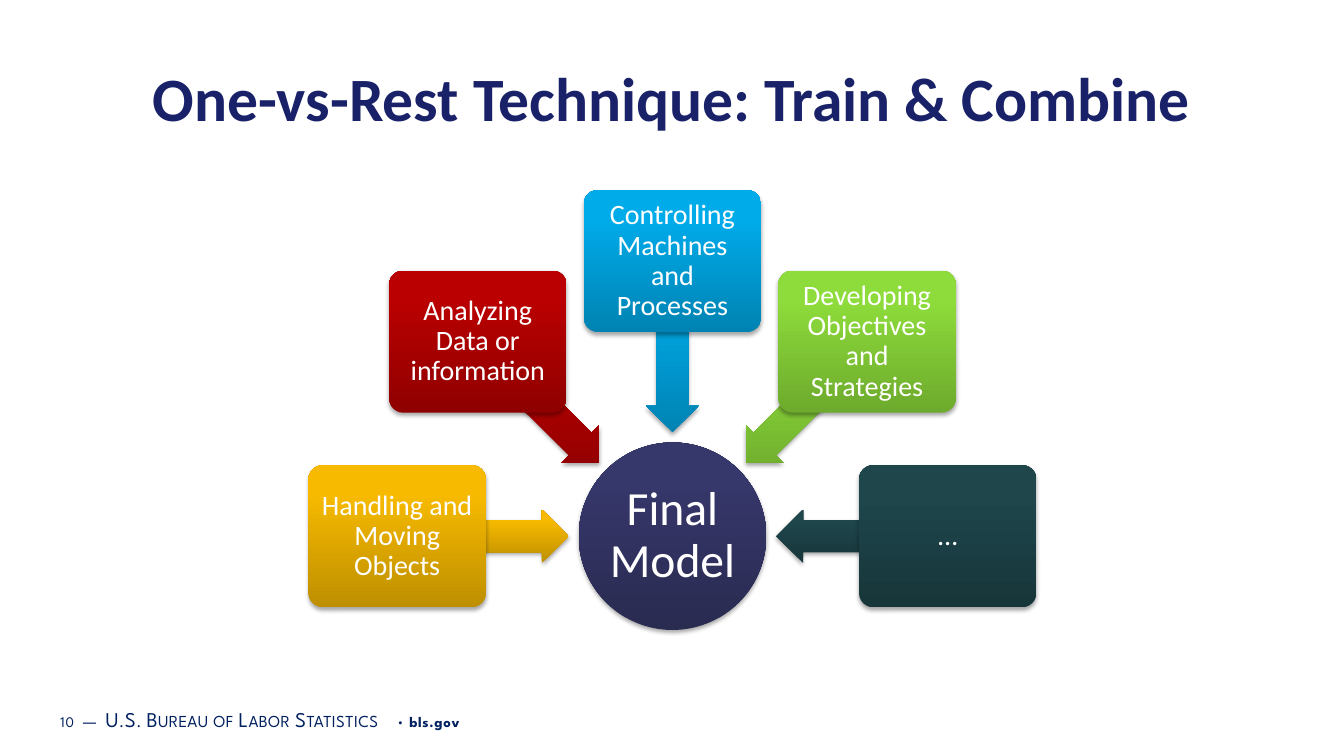
from math import cos, radians, sin

from lxml import etree
from pptx import Presentation
from pptx.dml.color import RGBColor
from pptx.enum.shapes import MSO_SHAPE as SHAPE
from pptx.enum.text import MSO_ANCHOR as ANCHOR, PP_ALIGN as ALIGN
from pptx.oxml.ns import qn
from pptx.util import Inches, Pt

WHITE = RGBColor(0xFF, 0xFF, 0xFF)
TITLE_BLUE = RGBColor(0x19, 0x21, 0x68)
FOOTER_BLUE = RGBColor(0x00, 0x20, 0x60)
# Each gradient is (bottom, top)
INDIGO = RGBColor(0x2A, 0x2B, 0x51), RGBColor(0x36, 0x37, 0x6A)
GOLD = RGBColor(0xBE, 0x8F, 0x00), RGBColor(0xF7, 0xBA, 0x00)
RED = RGBColor(0x8F, 0x00, 0x00), RGBColor(0xBA, 0x00, 0x00)
BLUE = RGBColor(0x00, 0x83, 0xB3), RGBColor(0x00, 0xAB, 0xE9)
GREEN = RGBColor(0x6D, 0xAA, 0x2D), RGBColor(0x8E, 0xDC, 0x3B)
TEAL = RGBColor(0x17, 0x36, 0x3A), RGBColor(0x1E, 0x46, 0x4B)

HUB_X, HUB_Y, HUB_SIZE = 6.67, 5.32, 1.86
BOX_W, BOX_H, BOX_RADIUS = 1.76, 1.41, 2.73
ARROW_W, ARROW_H, ARROW_RADIUS = 1.7, 0.53, 1.88

# Angles run clockwise from the left of the hub
CLASSES = [
    (0, "Handling and Moving Objects", GOLD),
    (45, "Analyzing Data or information", RED),
    (90, "Controlling Machines and Processes", BLUE),
    (135, "Developing Objectives and Strategies", GREEN),
    (180, "…", TEAL),
]

SMALL_CAPS = {"cap": "small", "spc": "30"}
SPACED = {"spc": "50"}
FOOTER_RUNS = [
    ("10", 10.5, False, SPACED),
    ("\u2004", 16, False, SPACED),
    ("—", 15, False, SMALL_CAPS),
    ("\u2004", 16, False, SPACED),
    ("U.S. Bureau of Labor Statistics", 15, False, SMALL_CAPS),
    (" • ", 10.5, False, SPACED),
    ("bls.gov", 10.5, True, SPACED),
]


class SlideBuilder:
    font = "Calibri"

    def __init__(self, slide):
        self.shapes = slide.shapes

    def frame(self, sp, margins, anchor, align):
        """Set up the text frame of a shape and return its first paragraph."""
        tf = sp.text_frame
        left, top = (Inches(m) for m in margins)
        settings = {"word_wrap": True, "vertical_anchor": anchor,
                    "margin_left": left, "margin_right": left,
                    "margin_top": top, "margin_bottom": top}
        for name, value in settings.items():
            setattr(tf, name, value)
        p = tf.paragraphs[0]
        p.alignment = align
        return p

    def run(self, p, text, size, color, bold=False, font=None, attrs=None):
        r = p.add_run()
        r.text = text
        values = {"name": font or self.font, "size": Pt(size), "bold": bold}
        for name, value in values.items():
            setattr(r.font, name, value)
        r.font.color.rgb = color
        for name, value in (attrs or {}).items():
            r.font._element.set(name, value)

    def text_box(self, x, y, w, h, margins, anchor, align=ALIGN.LEFT):
        sp = self.shapes.add_textbox(*map(Inches, (x, y, w, h)))
        return self.frame(sp, margins, anchor, align)

    def glossy_shape(self, kind, cx, cy, w, h, gradient, adjustments=(), rotation=0):
        """Add a centred shape with an upright gradient and a soft shadow."""
        sp = self.shapes.add_shape(kind, *map(Inches, (cx - w / 2, cy - h / 2, w, h)))
        for i, value in enumerate(adjustments):
            sp.adjustments[i] = value
        sp.rotation = rotation
        sp.line.fill.background()
        sp.fill.gradient()
        sp.fill.gradient_angle = 90
        for stop, color, position in zip(sp.fill.gradient_stops, gradient, (0, 0.8)):
            stop.color.rgb = color
            stop.position = position
        sp.shadow.inherit = False
        props = sp._element.spPr
        props.find(qn("a:gradFill")).set("rotWithShape", "0")
        shadow = etree.SubElement(props.find(qn("a:effectLst")), qn("a:outerShdw"),
                                  blurRad="40000", dist="23000", dir="5400000",
                                  rotWithShape="0")
        black = etree.SubElement(shadow, qn("a:srgbClr"), val="000000")
        etree.SubElement(black, qn("a:alpha"), val="35000")
        return sp

    def label(self, sp, text, size, margin):
        p = self.frame(sp, (margin, margin), ANCHOR.MIDDLE, ALIGN.CENTER)
        p.line_spacing = 0.9
        self.run(p, text, size, WHITE)

    def hub(self, text):
        sp = self.glossy_shape(SHAPE.OVAL, HUB_X, HUB_Y, HUB_SIZE, HUB_SIZE, INDIGO)
        self.label(sp, text, 34, 0.02)

    def spoke(self, angle, text, gradient):
        """Add a class box and the arrow from it to the hub."""
        dx, dy = -cos(radians(angle)), -sin(radians(angle))
        self.glossy_shape(SHAPE.LEFT_ARROW, HUB_X + ARROW_RADIUS * dx,
                          HUB_Y + ARROW_RADIUS * dy, ARROW_W, ARROW_H, gradient,
                          (0.6, 0.5), (angle + 180) % 360)
        box = self.glossy_shape(SHAPE.ROUNDED_RECTANGLE, HUB_X + BOX_RADIUS * dx,
                                HUB_Y + BOX_RADIUS * dy, BOX_W, BOX_H, gradient, (0.1,))
        self.label(box, text, 20, 0.05)


def main():
    prs = Presentation()
    prs.slide_width, prs.slide_height = Inches(13.33), Inches(7.5)
    builder = SlideBuilder(prs.slides.add_slide(prs.slide_layouts[6]))

    footer = builder.text_box(0.53, 6.93, 8.47, 0.4, (0.07, 0.04), ANCHOR.MIDDLE)
    for text, size, bold, attrs in FOOTER_RUNS:
        builder.run(footer, text, size, FOOTER_BLUE, bold, "League Spartan", attrs)

    title = builder.text_box(0.54, 0.5, 12.25, 0.88, (0.1, 0.05), ANCHOR.BOTTOM, ALIGN.CENTER)
    builder.run(title, "One-vs-Rest Technique: Train & Combine", 44, TITLE_BLUE, True)

    builder.hub("Final Model")
    for angle, text, gradient in CLASSES:
        builder.spoke(angle, text, gradient)

    prs.save("out.pptx")


if __name__ == "__main__":
    main()
